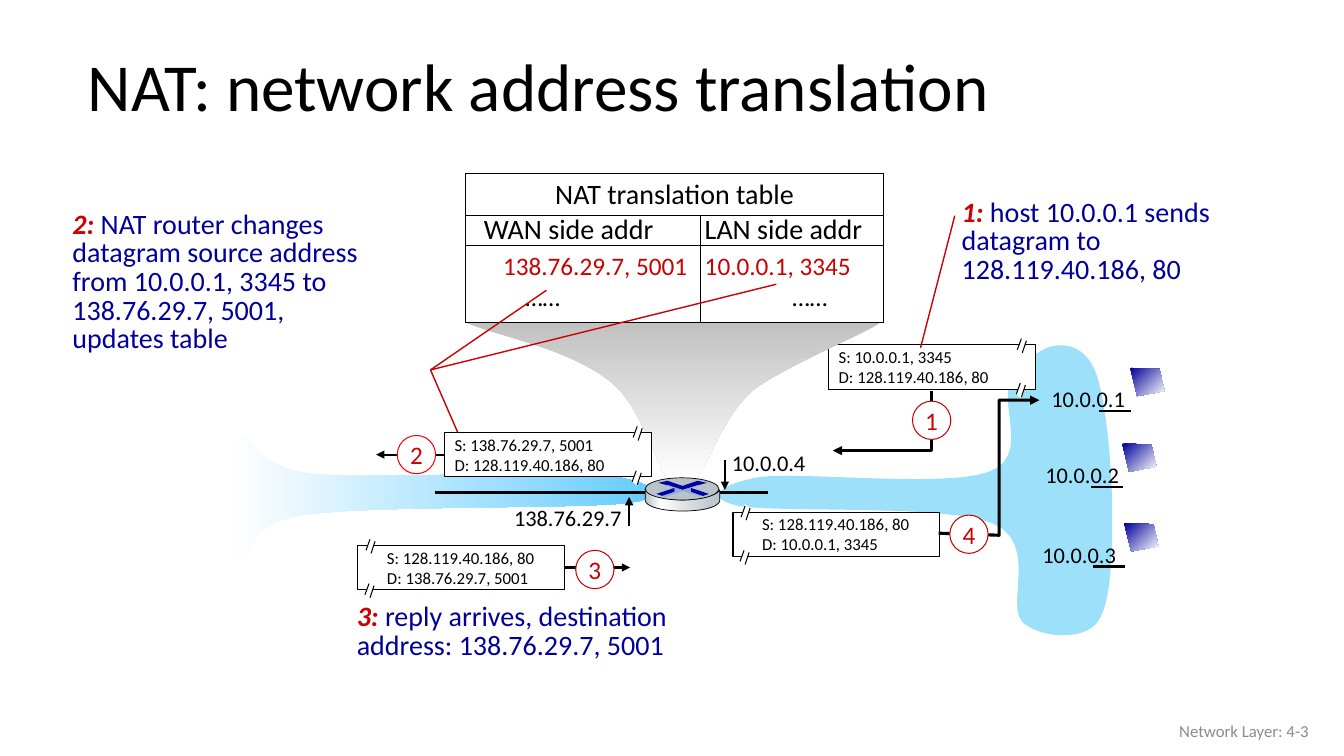
from lxml import etree
from pptx import Presentation
from pptx.dml.color import RGBColor
from pptx.enum.shapes import MSO_CONNECTOR, MSO_SHAPE
from pptx.enum.text import MSO_ANCHOR, PP_ALIGN
from pptx.oxml.ns import qn
from pptx.util import Inches, Pt

STRAIGHT, RECTANGLE, OVAL = MSO_CONNECTOR.STRAIGHT, MSO_SHAPE.RECTANGLE, MSO_SHAPE.OVAL
TOP, MIDDLE = MSO_ANCHOR.TOP, MSO_ANCHOR.MIDDLE
LEFT, CENTER, RIGHT = PP_ALIGN.LEFT, PP_ALIGN.CENTER, PP_ALIGN.RIGHT
LEFT_SIDE, RIGHT_SIDE = 1, 3
COLORS = {"black": "000000", "white": "FFFFFF", "red": "CC0000", "bright red": "FF0000",
          "navy": "000099", "gray": "8C8C8C", "silver": "BFBFBF", "sky": "66CCFF",
          "pale sky": "9CE0FA", "steel": "B8C2C9", "pale steel": "D6DCE0",
          "cross": "0000A3", "cross edge": "8FAADC"}
WAN_CLOUD = [(5.98, 4.71), (5.45, 4.66, 3.68, 4.76, 3.08, 4.7), (2.48, 4.64, 2.49, 4.21, 2.37, 4.35),
             (2.25, 4.5, 2.27, 5.44, 2.37, 5.57), (2.47, 5.69, 2.35, 5.21, 2.99, 5.11),
             (3.63, 5.01, 5.73, 5.05, 6.23, 4.99), (6.73, 4.92, 6.41, 4.76, 5.98, 4.71)]
LAN_CLOUD = [(7.55, 4.73), (7.96, 4.68, 9.4, 4.84, 9.81, 4.68), (10.22, 4.53, 9.91, 4.02, 10.02, 3.81),
             (10.13, 3.6, 10.33, 3.44, 10.47, 3.43), (10.61, 3.41, 10.79, 3.46, 10.88, 3.73),
             (10.97, 4, 11.03, 4.64, 11.03, 5.05), (11.03, 5.46, 11.03, 5.99, 10.88, 6.18),
             (10.73, 6.36, 10.31, 6.33, 10.14, 6.17), (9.97, 6, 10.31, 5.38, 9.84, 5.19),
             (9.38, 5, 7.71, 5.09, 7.33, 5.02), (6.95, 4.94, 7.17, 4.79, 7.55, 4.73)]
FUNNEL = [(4.62, 3.2), (4.62, 3.2, 8.23, 3.09, 8.71, 3.2), (8.85, 3.19, 7.77, 3.63, 7.47, 3.87),
          (7.17, 4.12, 7.02, 4.63, 6.89, 4.77), (6.63, 4.77), (6.49, 4.6, 6.38, 4.04, 6.05, 3.78),
          (5.63, 3.45, 4.95, 3.34, 4.62, 3.2)]
ROUTER_SIDE = [(7.14, 4.86), (7.14, 4.97), (7.11, 5.05, 6.9, 5.07, 6.77, 5.07),
               (6.65, 5.07, 6.43, 5.05, 6.4, 4.97), (6.4, 4.85),
               (6.44, 4.92, 6.65, 4.96, 6.77, 4.96), (6.89, 4.96, 7.1, 4.93, 7.14, 4.86)]
ROUTER_CROSS = [
    ("cross", [(6.92, 4.77), (7.01, 4.79), (6.94, 4.81), (6.77, 4.86), (6.6, 4.81),
               (6.53, 4.79), (6.62, 4.77), (6.77, 4.82)]),
    ("cross", [(6.85, 4.84), (7.03, 4.9), (6.97, 4.92), (6.85, 4.88)]),
    ("cross", [(6.69, 4.84), (6.69, 4.88), (6.57, 4.92), (6.51, 4.9)]),
    ("cross edge", [(6.59, 4.81), (6.62, 4.81), (6.77, 4.86), (6.93, 4.81), (6.95, 4.81), (6.85, 4.84),
                    (6.85, 4.88), (6.96, 4.92), (6.93, 4.92), (6.77, 4.87), (6.6, 4.93),
                    (6.57, 4.92), (6.69, 4.88), (6.69, 4.84)])]


def add_span(para, text, *, size, color="black", bold=False, italic=False):
    span = para.add_run()
    span.text, font = text, span.font
    font.name, font.size, font.bold, font.italic = "Calibri", Pt(size), bold, italic
    font.color.rgb = RGBColor.from_string(COLORS[color])


def write(frame, lines, align=LEFT, anchor=TOP, spacing=None, lead=None, **style):
    """Write one paragraph per line; lead is a bold red start of the first."""
    frame.vertical_anchor = anchor
    for index, words in enumerate(lines):
        para = frame.add_paragraph() if index else frame.paragraphs[0]
        para.alignment, para.line_spacing = align, spacing
        if lead and index == 0:
            add_span(para, lead, size=style["size"], color="red", bold=True, italic=True)
        add_span(para, words, **style)


def flatten(outline, steps=12):
    """Turn points and cubic curves (six numbers each) into plain points."""
    points = [outline[0]]
    for part in outline[1:]:
        if len(part) == 2:
            points.append(part)
            continue
        corners = [points[-1], part[:2], part[2:4], part[4:]]
        for t in (step / steps for step in range(1, steps + 1)):
            weights = ((1 - t) ** 3, 3 * t * (1 - t) ** 2, 3 * t * t * (1 - t), t ** 3)
            points.append([sum(w * c[axis] for w, c in zip(weights, corners)) for axis in (0, 1)])
    return points


def shift(points, left, top):
    return [(left + x, top + y) for x, y in points]


class Diagram:
    def __init__(self, page):
        self.shapes = page.shapes

    def paint(self, shape, fill=None, line=None, weight=0.75, angle=0):
        """Fill with a colour name, or with (position, name) stops at a clockwise angle."""
        shape.shadow.inherit = False
        if fill is None:
            shape.fill.background()
        elif isinstance(fill, str):
            shape.fill.solid()
            shape.fill.fore_color.rgb = RGBColor.from_string(COLORS[fill])
        else:
            shape.fill.gradient()
            shape.fill.gradient_angle = (360 - angle) % 360
            stops = next(shape._element.iter(qn("a:gsLst")))
            for stop in list(stops):
                stops.remove(stop)
            for position, name in fill:
                stop = etree.SubElement(stops, qn("a:gs"), pos=str(position * 1000))
                etree.SubElement(stop, qn("a:srgbClr"), val=COLORS[name])
        if line:
            shape.line.color.rgb = RGBColor.from_string(COLORS[line])
            shape.line.width = Pt(weight)
        else:
            shape.line.fill.background()

    def outline(self, outline, closed=True, head=False, **paint):
        points = [(Inches(x), Inches(y)) for x, y in flatten(outline)]
        builder = self.shapes.build_freeform(*points[0], scale=1.0)
        builder.add_line_segments(points[1:], close=closed)
        shape = builder.convert_to_shape()
        self.paint(shape, **paint)
        if head:
            etree.SubElement(shape.line._get_or_add_ln(), qn("a:headEnd"), type="triangle")

    def preset(self, kind, left, top, width, height, **paint):
        shape = self.shapes.add_shape(kind, *map(Inches, (left, top, width, height)))
        self.paint(shape, **paint)
        return shape

    def line(self, start, end, color="black", weight=1.5, arrow=False, join=None):
        connector = self.shapes.add_connector(STRAIGHT, *map(Inches, (*start, *end)))
        connector.line.color.rgb = RGBColor.from_string(COLORS[color])
        connector.line.width = Pt(weight)
        if arrow:
            etree.SubElement(connector.line._get_or_add_ln(), qn("a:tailEnd"), type="triangle")
        etree.SubElement(connector._element.spPr, qn("a:effectLst"))
        if join:
            connector.begin_connect(*join)

    def text(self, left, top, width, height, lines, wrap=True, **style):
        box = self.shapes.add_textbox(*map(Inches, (left, top, width, height)))
        box.text_frame.word_wrap = wrap
        write(box.text_frame, lines, **style)

    def note(self, number, left, top, width, height, *lines):
        self.text(left, top, width, height, lines, spacing=0.85, lead=f"{number}: ", size=20, color="navy")

    def packet(self, left, top, source, target, marks_left=False):
        box = self.preset(RECTANGLE, left, top, 2.05, 0.44, fill="white", line="black")
        indent, mark = (0.19, 0.08) if marks_left else (0, 1.87)
        self.text(left + indent, top - 0.03, 1.94, 0.5, [f"S: {source}", f"D: {target}"], size=12)
        for corner in ((left + mark, top - 0.08), (left + mark - 0.01, top + 0.36)):
            self.outline(shift([(0.04, 0), (0, 0.13), (0.05, 0.17), (0.09, 0.04)], *corner), fill="white")
            for stroke in ([(0.04, 0.02), (0, 0.13)], [(0.09, 0.04), (0.05, 0.16)]):
                self.line(*shift(stroke, *corner), weight=0.75)
        return box

    def badge(self, number, left, top, color="red"):
        frame = self.preset(OVAL, left, top, 0.38, 0.38, fill="white", line=color).text_frame
        frame.margin_left = frame.margin_right = frame.margin_top = frame.margin_bottom = 0
        frame.word_wrap = False
        write(frame, [str(number)], align=CENTER, anchor=MIDDLE, size=18, color="red")

    def cell(self, cell, lines, indent=0.0, top=0.0, anchor=MIDDLE, **style):
        cell.margin_left, cell.margin_top = Inches(indent), Inches(top)
        cell.margin_right = cell.margin_bottom = 0
        for side in ("lnL", "lnR", "lnT", "lnB"):
            border = etree.SubElement(cell._tc.get_or_add_tcPr(), qn(f"a:{side}"), w=str(Pt(0.75)))
            solid = etree.SubElement(border, qn("a:solidFill"))
            etree.SubElement(solid, qn("a:srgbClr"), val=COLORS["black"])
        cell.fill.solid()
        cell.fill.fore_color.rgb = RGBColor.from_string(COLORS["white"])
        write(cell.text_frame, lines, **style)
        cell.vertical_anchor = anchor

    def translation_table(self, columns):
        table = self.shapes.add_table(3, 2, *map(Inches, (4.62, 1.72, 4.14, 1.48))).table
        table.first_row = table.horz_banding = False
        for row, height in zip(table.rows, (0.42, 0.3, 0.76)):
            row.height = Inches(height)
        table.cell(0, 0).merge(table.cell(0, 1))
        self.cell(table.cell(0, 0), ["NAT translation table"], align=CENTER, size=20)
        self.cell(table.cell(0, 1), [])
        for index, (width, heading, margin, entry, indent, dots_indent) in enumerate(columns):
            table.columns[index].width = Inches(width)
            self.cell(table.cell(1, index), [heading], margin, spacing=0.85, size=20)
            body = table.cell(2, index)
            self.cell(body, [entry], indent, top=0.06, anchor=TOP, size=18, color="red")
            dots = body.text_frame.add_paragraph()
            dots._p.get_or_add_pPr().set("marL", str(Inches(dots_indent)))
            add_span(dots, "……", size=18)

    def host(self, words, label, left, top):
        self.text(*label, 0.94, 0.37, [words], wrap=False, size=16)
        screen = shift([(0, 0), (0.29, 0.01), (0.34, 0.23), (0.07, 0.28)], left + 0.31, top - 0.43)
        self.outline(screen, fill=[(0, "navy"), (100, "white")], angle=45)
        self.line((left, top), (left + 0.32, top))

    def title(self, words):
        title = self.shapes.title
        title.left, title.top, title.width, title.height = map(Inches, (0.77, 0.31, 11.5, 1.17))
        write(title.text_frame, [words], anchor=MIDDLE, spacing=0.9, size=48)


deck = Presentation()
deck.slide_width, deck.slide_height = Inches(13.33), Inches(7.5)
diagram = Diagram(deck.slides.add_slide(deck.slide_layouts[5]))
server, lan_host, wan_side = "128.119.40.186, 80", "10.0.0.1, 3345", "138.76.29.7, 5001"
diagram.title("NAT: network address translation")
diagram.outline(WAN_CLOUD, fill=[(0, "white"), (100, "sky")])
diagram.outline(LAN_CLOUD, fill="pale sky")
diagram.packet(8.22, 3.42, lan_host, server)
diagram.outline([(8.26, 4.47), (9.24, 4.47), (9.24, 3.88)], False, True, line="black", weight=2.25)
diagram.badge(1, 9.05, 3.98)
diagram.text(7.16, 4.41, 0.94, 0.37, ["10.0.0.4"], wrap=False, size=16)
diagram.text(5, 4.95, 1.28, 0.37, ["138.76.29.7"], wrap=False, size=16)
diagram.note(1, 9.44, 1.93, 3.36, 0.96, f"host 10.0.0.1 sends datagram to {server}")
diagram.line((9.47, 2.14), (9.13, 3.45), "red", 1)
diagram.outline(FUNNEL, fill=[(0, "silver"), (100, "white")], angle=90)
diagram.translation_table([(2.33, "WAN side addr", 0.18, wan_side, 0.37, 0.22),
                           (1.81, "LAN side addr", 0.04, lan_host, 0.04, 0.87)])
diagram.packet(7.27, 5.08, server, lan_host, marks_left=True)
diagram.outline([(10.31, 3.97), (9.91, 3.97), (9.91, 5.31), (9.31, 5.29)], False, True,
                line="black", weight=2.25)
diagram.badge(4, 9.42, 5.11)
sent = diagram.packet(4.41, 4.29, wan_side, server)
diagram.line((4.41, 4.51), (3.73, 4.51), arrow=True, join=(sent, LEFT_SIDE))
diagram.badge(2, 3.94, 4.32, "bright red")
diagram.note(2, 0.62, 2.05, 3.45, 1.53,
             f"NAT router changes datagram source address from {lan_host} to {wan_side},", "updates table")
for tip in ((4.54, 4.29), (5.42, 2.88), (7.7, 2.82)):
    diagram.line((4.27, 3.67), tip, "red", 1)
reply = diagram.packet(3.55, 5.41, server, wan_side, marks_left=True)
diagram.line((5.6, 5.63), (6.25, 5.63), arrow=True, join=(reply, RIGHT_SIDE))
diagram.badge(3, 5.71, 5.46)
diagram.note(3, 3.44, 5.94, 3.89, 0.68, f"reply arrives, destination address: {wan_side}")
diagram.host("10.0.0.1", (10.33, 3.77), 10.9, 4.08)
diagram.host("10.0.0.2", (10.27, 4.53), 10.82, 4.83)
diagram.host("10.0.0.3", (10.24, 5.32), 10.84, 5.62)
diagram.line((4.31, 4.89), (7.62, 4.89), weight=2)
diagram.outline(ROUTER_SIDE, line="black", weight=0.5,
                fill=[(0, "steel"), (21, "white"), (60, "pale steel"), (100, "steel")])
diagram.preset(OVAL, 6.4, 4.74, 0.73, 0.22, fill="steel", line="black", weight=0.5)
for shade, blade in ROUTER_CROSS:
    diagram.outline(blade, fill=shade)
diagram.line((6.24, 5.22), (6.24, 4.93), arrow=True)
diagram.line((7.19, 4.56), (7.19, 4.86), arrow=True)
diagram.text(10.08, 7.05, 3, 0.4, ["Network Layer: 4-3"], align=RIGHT, anchor=MIDDLE, size=12, color="gray")
deck.save("out.pptx")
